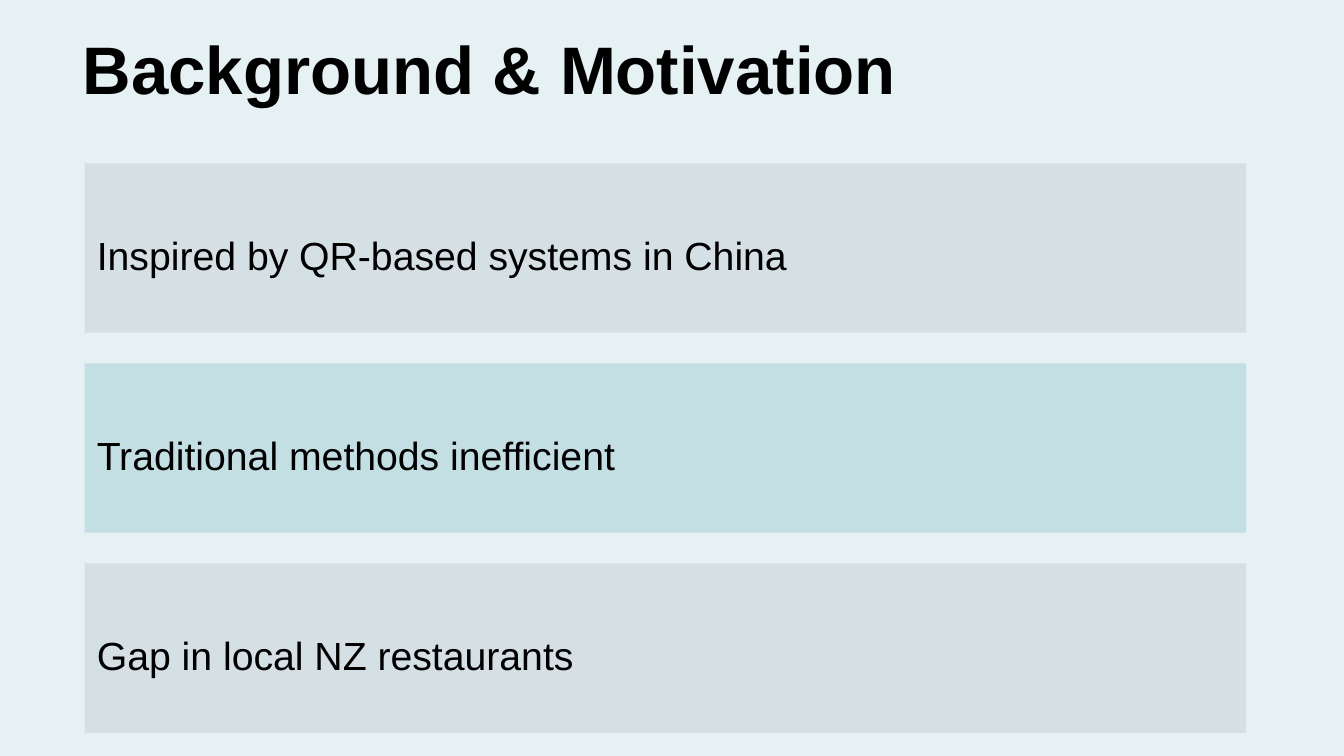
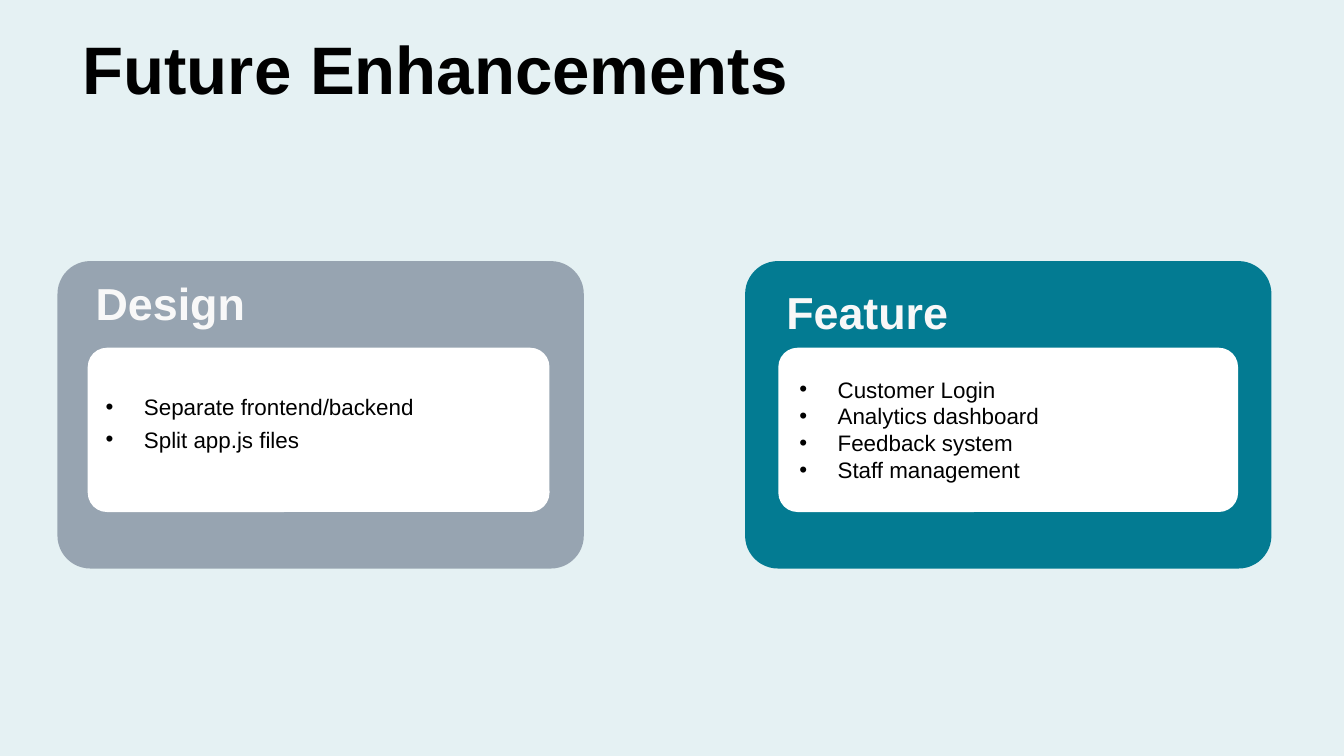
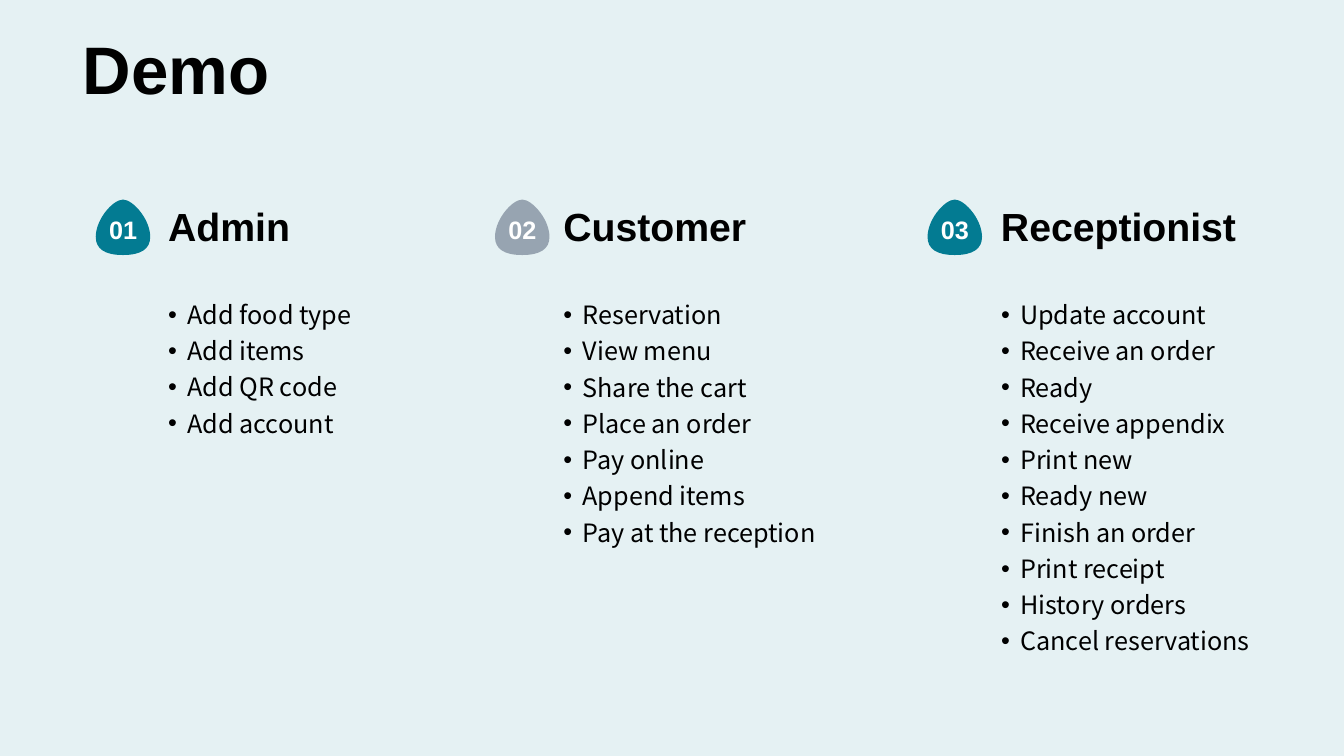
from lxml import etree
from pptx import Presentation
from pptx.dml.color import RGBColor
from pptx.enum.shapes import MSO_SHAPE
from pptx.enum.text import MSO_ANCHOR, PP_ALIGN
from pptx.oxml.ns import qn
from pptx.util import Inches, Pt

RECT, ROUND = MSO_SHAPE.RECTANGLE, MSO_SHAPE.ROUNDED_RECTANGLE
TOP, MID, BASE = MSO_ANCHOR.TOP, MSO_ANCHOR.MIDDLE, MSO_ANCHOR.BOTTOM
LEFT, CENTER = PP_ALIGN.LEFT, PP_ALIGN.CENTER

HEX = {"teal": "037B92", "slate": "778495", "white": "FFFFFF",
       "pale": "F8F8F8", "ink": "000000"}
SANS, NOTO = "Arial", "Noto Sans CJK SC"
WIDE, HIGH = 13.33, 7.5

# Curve points of the drop's left half, from the bottom middle to the tip
DROP = [(0.27, 0.55), (0.09, 0.55), (0, 0.49), (0, 0.37), (0, 0.3),
        (0.03, 0.21), (0.09, 0.13), (0.15, 0.05), (0.22, 0), (0.27, 0)]


def rgb(name):
    return RGBColor.from_string(HEX[name])


def paint(shape, color, alpha=100):
    """Plain fill, no line, no shadow."""
    shape.shadow.inherit = False
    shape.fill.solid()
    shape.fill.fore_color.rgb = rgb(color)
    shape.line.fill.background()
    if alpha < 100:
        tone = shape.fill._xPr.find(".//" + qn("a:srgbClr"))
        etree.SubElement(tone, qn("a:alpha"), val=str(alpha * 1000))


def block(slide, kind, box, color, alpha=100, bend=None):
    shape = slide.shapes.add_shape(kind, *map(Inches, box))
    if bend is not None:
        shape.adjustments[0] = bend
    paint(shape, color, alpha)
    return shape


def bullet(para, indent):
    props = para._p.get_or_add_pPr()
    props.set("marL", str(Inches(indent)))
    props.set("indent", str(-Inches(indent)))
    etree.SubElement(props, qn("a:buFont"), typeface=SANS)
    etree.SubElement(props, qn("a:buChar"), char="•")


def write(shape, lines, size, color="ink", bold=False, font=SANS, anchor=MID,
          align=LEFT, space=1.0, indent=0, wrap=True):
    frame = shape.text_frame
    frame.text = "\n".join(lines)
    frame.word_wrap = wrap
    frame.vertical_anchor = anchor
    for para in frame.paragraphs:
        if indent:
            bullet(para, indent)
        para.alignment = align
        para.line_spacing = space
        for run in para.runs:
            run.font.name, run.font.size, run.font.bold = font, Pt(size), bold
            run.font.color.rgb = rgb(color)


def label(slide, box, lines, size, **style):
    write(slide.shapes.add_textbox(*map(Inches, box)), lines, size, **style)


def page(deck, title):
    """Blank slide with the shared tint and title."""
    slide = deck.slides.add_slide(deck.slide_layouts[6])
    block(slide, RECT, (0, 0, WIDE, HIGH), "teal", 10)
    label(slide, (0.72, 0, 11.88, 1.12), [title], 48, bold=True, anchor=BASE)
    return slide


def bands(slide, box, items, high):
    """Full-width bands spread evenly over the box."""
    left, top, width, height = box
    step = (height - high) / (len(items) - 1)
    for i, item in enumerate(items):
        color = ("slate", "teal")[i % 2]
        band = block(slide, RECT, (left, top + i * step, width, high), color, 15)
        frame = band.text_frame
        frame.margin_left = frame.margin_right = Inches(0.12)
        frame.margin_top = frame.margin_bottom = Inches(0.12)
        write(band, [item], 28, space=1.3)


def card(slide, box, color, alpha, head, items, panel, head_size, list_box, space):
    """Rounded card with a heading over a white panel."""
    left, top = box[:2]
    inset, width = panel
    block(slide, ROUND, box, color, alpha, 0.107)
    block(slide, ROUND, (left + inset, top + 0.86, width, 1.63), "white",
          bend=0.117)
    label(slide, (left + inset - 0.02, top + 0.15, *head_size), [head], 32,
          color="pale", bold=True, wrap=False)
    x, y, wide, high = list_box
    label(slide, (left + x, top + y, wide, high), items, 16, space=space,
          indent=0.38)


def drop(slide, left, top, color, alpha):
    """Mirror the half outline, then join its points as curves."""
    ring = DROP + [(0.54 - x, y) for x, y in DROP[-2::-1]]
    spots = [(Inches(left + x), Inches(top + y)) for x, y in ring]
    pen = slide.shapes.build_freeform(*spots[0])
    pen.add_line_segments(spots[1:], close=True)
    shape = pen.convert_to_shape()
    lines = list(shape._element.iter(qn("a:lnTo")))
    for i in range(0, len(lines), 3):
        curve = etree.Element(qn("a:cubicBezTo"))
        lines[i].addprevious(curve)
        for line in lines[i:i + 3]:
            curve.append(line[0])
            line.getparent().remove(line)
    paint(shape, color, alpha)


def column(slide, left, top, number, shift, size, head, items):
    """Numbered drop, heading and list."""
    color, alpha = ("teal", 100) if number % 2 else ("slate", 70)
    drop(slide, left, top, color, alpha)
    label(slide, (left + 0.03, top + 0.1, 0.48, 0.4), [f"{number:02}"], 18,
          color="white", bold=True, anchor=TOP, align=CENTER, wrap=False)
    label(slide, (left + shift, top + 0.04, 2.7, 0.5), [head], 28, bold=True,
          anchor=BASE)
    label(slide, (left + shift, top + 0.88, *size), items, 18, font=NOTO,
          anchor=TOP, space=1.2, indent=0.19)


def main():
    deck = Presentation()
    deck.slide_width, deck.slide_height = Inches(WIDE), Inches(HIGH)

    # Background
    slide = page(deck, "Background & Motivation")
    bands(slide, (0.84, 1.62, 11.52, 5.65),
          ["Inspired by QR-based systems in China",
           "Traditional methods inefficient",
           "Gap in local NZ restaurants"], 1.68)

    # Enhancements
    slide = page(deck, "Future Enhancements")
    card(slide, (0.57, 2.59, 5.22, 3.05), "slate", 70, "Design",
         ["Separate frontend/backend", "Split app.js files"],
         (0.3, 4.58), (3.84, 0.53), (0.38, 1.22, 4.34, 0.72), 1.2)
    card(slide, (7.39, 2.59, 5.22, 3.05), "teal", 100, "Feature",
         ["Customer Login", "Analytics dashboard", "Feedback system",
          "Staff management"],
         (0.33, 4.56), (3.49, 0.71), (0.44, 1.08, 4.45, 1.18), 1.0)

    # Demo
    slide = page(deck, "Demo")
    roles = [
        (0.95, 0.62, (2.26, 2), "Admin",
         ["Add food type", "Add items", "Add QR code", "Add account"]),
        (4.91, 0.58, (3.27, 2.75), "Customer",
         ["Reservation", "View menu", "Share the cart", "Place an order",
          "Pay online", "Append items", "Pay at the reception"]),
        (9.2, 0.63, (2.81, 3.78), "Receptionist",
         ["Update account", "Receive an order", "Ready", "Receive appendix",
          "Print new", "Ready new", "Finish an order", "Print receipt",
          "History orders", "Cancel reservations"])]
    for number, (left, *rest) in enumerate(roles, 1):
        column(slide, left, 1.98, number, *rest)

    deck.save("out.pptx")


if __name__ == "__main__":
    main()
